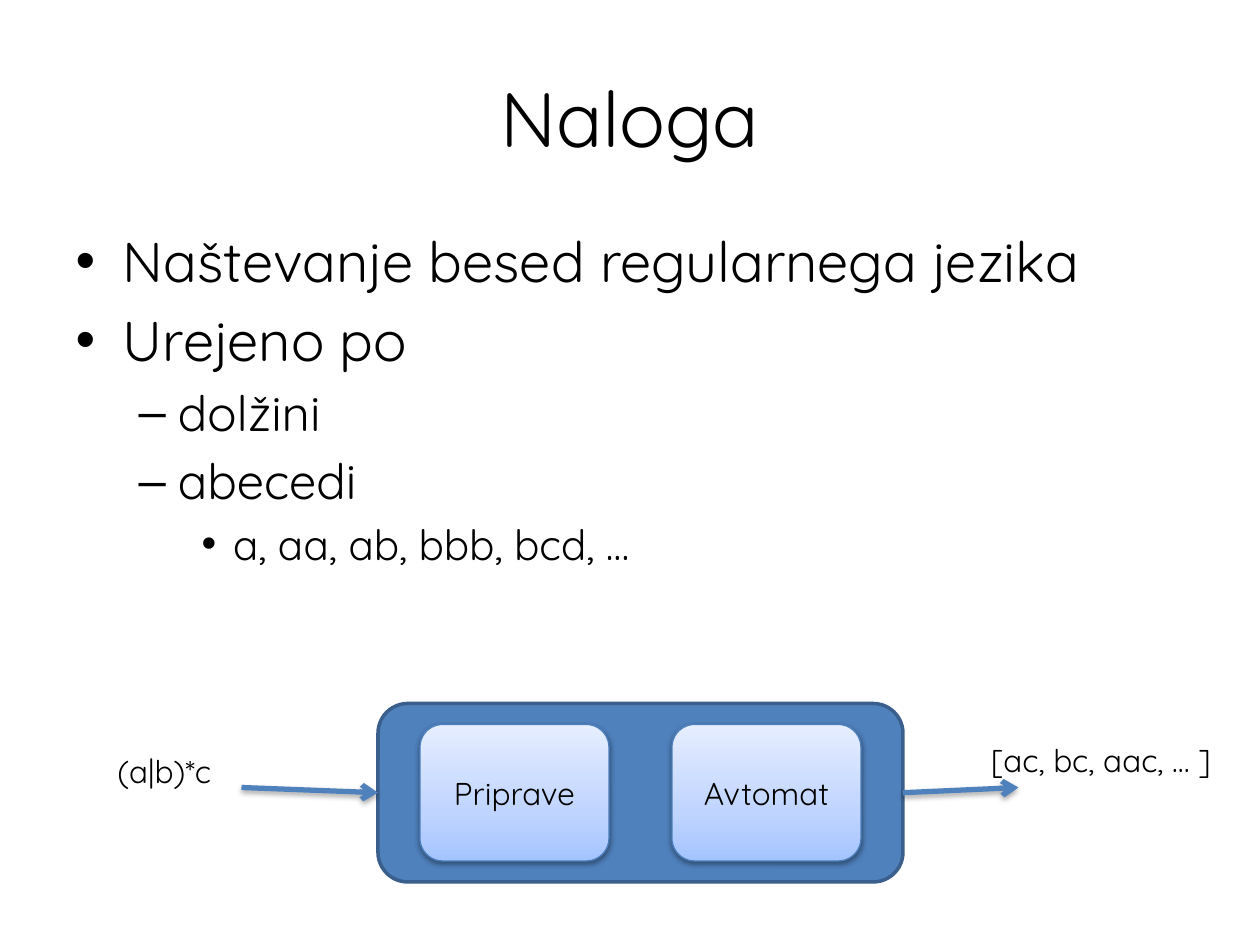
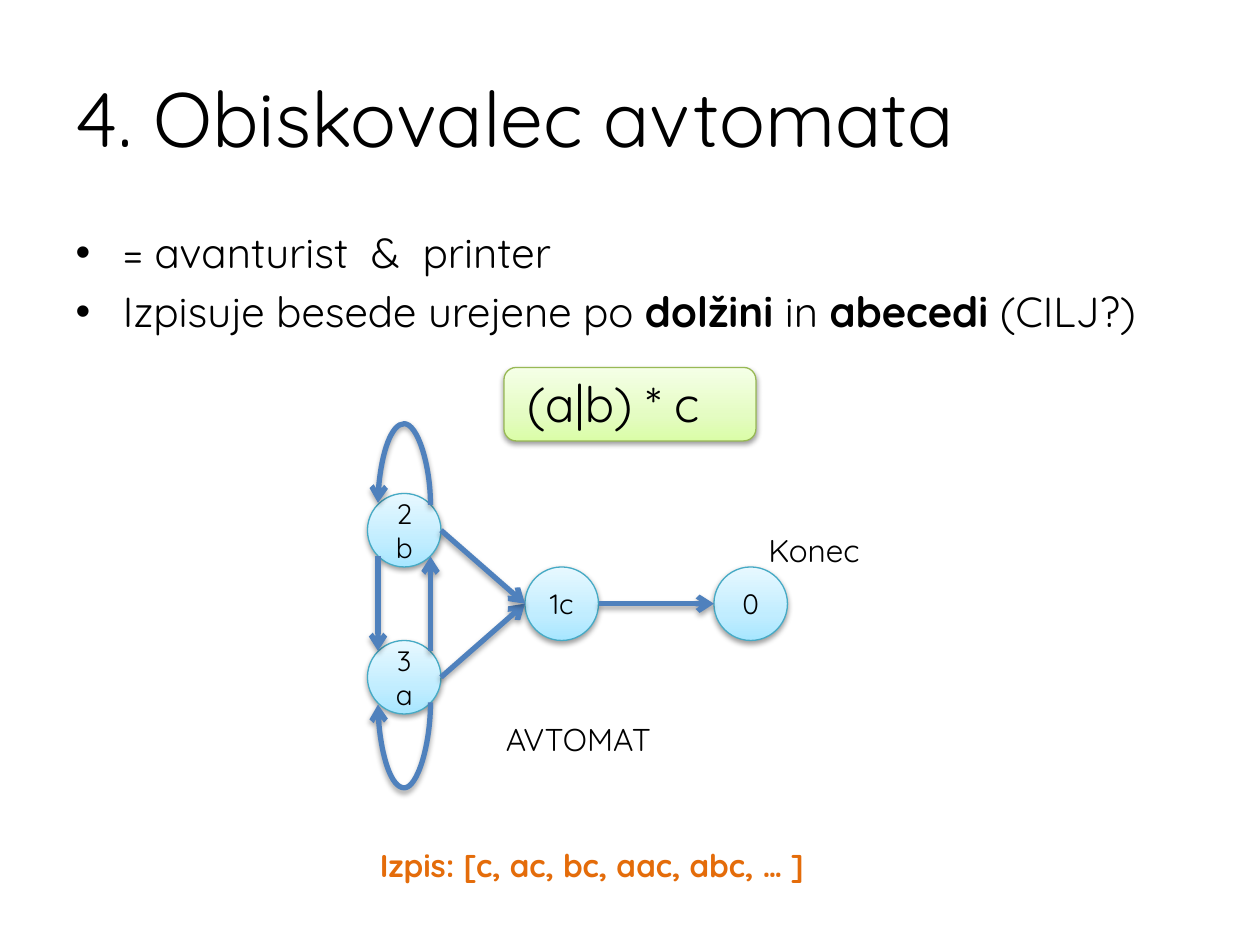
from lxml.etree import SubElement
from pptx import Presentation
from pptx.dml.color import RGBColor
from pptx.enum.shapes import MSO_CONNECTOR, MSO_SHAPE
from pptx.enum.text import MSO_ANCHOR, MSO_AUTO_SIZE, PP_ALIGN
from pptx.oxml.ns import qn
from pptx.util import Pt

PX = 7620
FONT = "Quicksand"
BLACK, BLUE, NAVY, ORANGE = "000000", "4F81BD", "3A5F8C", "E46C0A"
BLUE_GLOSS = ("A4C4FF", "BFD4FF", "E6EEFF"), "4B7EBC"
GREEN_GLOSS = ("DAFDA7", "E4FCC2", "F5FFE7"), "98B955"
AQUA_GLOSS = ("A7E6FF", "C1EDFF", "E7F8FF"), "46AAC5"
GLOSS_STOPS = (0, 35, 100)
NODE = 70


def color(hex_code):
    return RGBColor.from_string(hex_code)


def child(parent, tag, **attributes):
    return SubElement(parent, qn(tag), {key: str(value) for key, value in attributes.items()})


class Deck:
    """Holds the shared style and the slide being filled."""

    def __init__(self):
        self.show = Presentation()
        self.show.slide_width, self.show.slide_height = 1200 * PX, 900 * PX
        self.slide = None

    def style(self, paragraph, size, ink=BLACK, align=None, bold=None):
        font = paragraph.font
        font.name, font.size, font.bold = FONT, Pt(size), bold
        font.color.rgb = color(ink)
        paragraph.alignment = align

    def place(self, shape, left, top, width, height):
        shape.left, shape.top = left * PX, top * PX
        shape.width, shape.height = width * PX, height * PX

    def open_slide(self, heading, align):
        self.slide = self.show.slides.add_slide(self.show.slide_layouts[1])
        title = self.slide.shapes.title
        self.place(title, 60, 36, 1080, 150)
        title.text_frame.text = heading
        title.text_frame.auto_size = MSO_AUTO_SIZE.NONE
        self.style(title.text_frame.paragraphs[0], 44, align=align)

    def bullets(self, height, points):
        body = self.slide.placeholders[1]
        self.place(body, 60, 210, 1080, height)
        frame = body.text_frame
        frame.auto_size = MSO_AUTO_SIZE.NONE
        for index, (level, size, pieces) in enumerate(points):
            paragraph = frame.add_paragraph() if index else frame.paragraphs[0]
            paragraph.level = level
            self.style(paragraph, size)
            for position, piece in enumerate(pieces):
                run = paragraph.add_run()
                run.text = piece
                if position % 2:
                    run.font.bold = True

    def shadow(self, shape, opacity, distance):
        effects = shape.element.spPr.find(qn("a:effectLst"))
        if effects is None:
            effects = child(shape.element.spPr, "a:effectLst")
        cast = child(effects, "a:outerShdw", blurRad=40000, dist=distance,
                     dir=5400000, rotWithShape=0)
        child(child(cast, "a:srgbClr", val=BLACK), "a:alpha", val=opacity * 1000)

    def box(self, kind, left, top, width, height, outline, weight):
        shape = self.slide.shapes.add_shape(
            kind, left * PX, top * PX, width * PX, height * PX)
        shape.shadow.inherit = False
        shape.line.color.rgb = color(outline)
        shape.line.width = Pt(weight)
        return shape

    def panel(self, left, top, width, height):
        panel = self.box(MSO_SHAPE.ROUNDED_RECTANGLE, left, top, width, height, NAVY, 2)
        panel.fill.solid()
        panel.fill.fore_color.rgb = color(BLUE)
        return panel

    def glossy(self, kind, left, top, width, height, gloss, label="", size=18):
        tints, outline = gloss
        shape = self.box(kind, left, top, width, height, outline, 0.75)
        shape.fill.gradient()
        gradient = shape.element.spPr.find(qn("a:gradFill"))
        for part in list(gradient):
            gradient.remove(part)
        stops = child(gradient, "a:gsLst")
        for stop, tint in zip(GLOSS_STOPS, tints):
            child(child(stops, "a:gs", pos=stop * 1000), "a:srgbClr", val=tint)
        child(gradient, "a:lin", ang=16200000, scaled=0)
        self.shadow(shape, 38, 20000)
        if label:
            shape.text_frame.text = label
            shape.text_frame.vertical_anchor = MSO_ANCHOR.MIDDLE
            self.style(shape.text_frame.paragraphs[0], size, align=PP_ALIGN.CENTER)

    def node(self, left, top, label):
        self.glossy(MSO_SHAPE.OVAL, left, top, NODE, NODE, AQUA_GLOSS, label, 16)

    def label(self, left, top, width, text, size=18, ink=BLACK, bold=None):
        height = 68 if size > 18 else 48
        box = self.slide.shapes.add_textbox(left * PX, top * PX, width * PX, height * PX)
        box.text_frame.word_wrap = True
        box.text_frame.text = text
        self.style(box.text_frame.paragraphs[0], size, ink, bold=bold)

    def arrow(self, start, end, kind=MSO_CONNECTOR.STRAIGHT):
        arrow = self.slide.shapes.add_connector(kind, *(value * PX for value in start + end))
        arrow.line.color.rgb = color(BLUE)
        arrow.line.width = Pt(3)
        child(arrow.line._get_or_add_ln(), "a:tailEnd", type="arrow")
        self.shadow(arrow, 35, 23000)
        return arrow

    def loop(self, center_x, center_y, span, rise, upward):
        depth = 2
        left, top = center_x - depth // 2, center_y - span // 2
        loop = self.arrow((left, top), (left + depth, top + span), MSO_CONNECTOR.CURVE)
        frame = loop.element.spPr.find(qn("a:xfrm"))
        frame.set("rot", str((270 if upward else 90) * 60000))
        if upward:
            frame.set("flipV", "1")
        geometry = loop.element.spPr.find(qn("a:prstGeom"))
        guides = geometry.find(qn("a:avLst"))
        if guides is None:
            guides = child(geometry, "a:avLst")
        child(guides, "a:gd", name="adj1", fmla=f"val {rise * 100000 // depth}")


def task_slide(deck):
    deck.open_slide("Naloga", PP_ALIGN.CENTER)
    deck.bullets(594, [
        (0, 32, ["Naštevanje besed regularnega jezika"]),
        (0, 32, ["Urejeno po"]),
        (1, 28, ["dolžini"]),
        (1, 28, ["abecedi"]),
        (2, 24, ["a, aa, ab, bbb, bcd, …"]),
    ])
    program = deck.panel(360, 670, 500, 170)
    for column, stage in enumerate(["Priprave", "Avtomat"]):
        deck.glossy(MSO_SHAPE.ROUNDED_RECTANGLE, 400 + 240 * column, 690, 180, 130,
                    BLUE_GLOSS, stage)
    deck.arrow((230, 750), (360, 755)).end_connect(program, 1)
    deck.arrow((860, 755), (970, 750)).begin_connect(program, 3)
    deck.label(100, 710, 142, "(a|b)*c")
    deck.label(932, 700, 276, "[ac, bc, aac, … ]")


def visitor_slide(deck):
    deck.open_slide("4. Obiskovalec avtomata", PP_ALIGN.LEFT)
    deck.bullets(230, [
        (0, 24, ["= avanturist  &  printer"]),
        (0, 24, ["Izpisuje besede urejene po ", "dolžini", " in ", "abecedi", " (CILJ?)"]),
    ])
    deck.glossy(MSO_SHAPE.ROUNDED_RECTANGLE, 480, 350, 240, 70, GREEN_GLOSS)
    deck.label(490, 350, 232, "(a|b) * c", 28)

    state_x, b_y, a_y = 350, 470, 610
    c_x, end_x, c_y = 500, 680, 540
    for left, top, state in [(end_x, c_y, "0"), (state_x, a_y, "3a"),
                             (state_x, b_y, "2b"), (c_x, c_y, "1c")]:
        deck.node(left, top, state)

    radius, corner = NODE // 2, 10
    c_middle = c_y + radius
    for top in (a_y, b_y):
        deck.arrow((state_x + NODE, top + radius), (c_x, c_middle))
    west, east = state_x + corner, state_x + NODE - corner
    upper, lower = b_y + NODE - corner, a_y + corner
    deck.arrow((east, lower), (east, upper))
    deck.arrow((west, upper), (west, lower))
    deck.arrow((c_x + NODE, c_middle), (end_x, c_middle))
    deck.loop(state_x + radius, b_y + corner, east - west, 78, True)
    deck.loop(state_x + radius, a_y + NODE - corner, east - west, 82, False)

    deck.label(720, 500, 120, "Konec")
    deck.label(470, 680, 170, "AVTOMAT")
    deck.label(350, 800, 463, "Izpis: [c, ac, bc, aac, abc, … ]", ink=ORANGE, bold=True)


def main():
    deck = Deck()
    task_slide(deck)
    visitor_slide(deck)
    deck.show.save("out.pptx")


if __name__ == "__main__":
    main()
